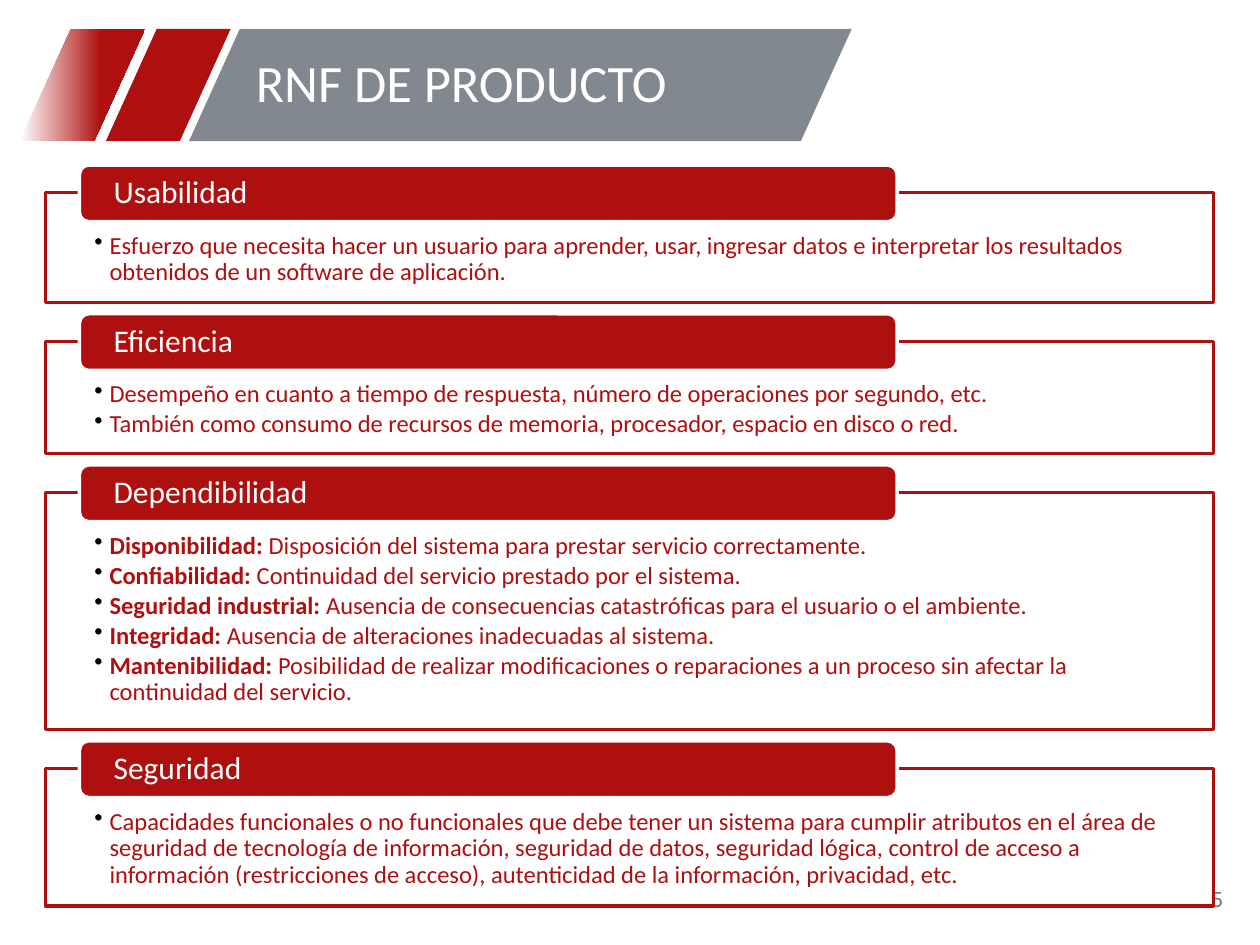
from dataclasses import dataclass

from lxml import etree
from pptx import Presentation
from pptx.dml.color import RGBColor
from pptx.enum.shapes import MSO_SHAPE
from pptx.enum.text import MSO_ANCHOR, PP_ALIGN
from pptx.oxml.ns import qn
from pptx.util import Inches, Pt

LEFT, RIGHT = PP_ALIGN.LEFT, PP_ALIGN.RIGHT
TOP, MIDDLE = MSO_ANCHOR.TOP, MSO_ANCHOR.MIDDLE
RECT, ROUNDED = MSO_SHAPE.RECTANGLE, MSO_SHAPE.ROUNDED_RECTANGLE
SLANTED = MSO_SHAPE.PARALLELOGRAM

COLORS = {"red": "AE0F0F", "gray": "81888F", "number": "6C7A8A",
          "white": "FFFFFF", "black": "000000"}
FONT, NUMBER_FONT = "Calibri", "Noto Sans Mono"

# Layout, in inches
SLIDE_W, SLIDE_H = 10, 7.5
BANNER_TOP, BANNER_H, SLANT = 0.23, 0.89, 0.453
PANEL_LEFT, PANEL_W, PANEL_GAP, FIRST_PANEL = 0.36, 9.27, 0.31, 1.53
TAB_LEFT, TAB_W, TAB_H, TAB_RISE = 0.63, 6.49, 0.45, 0.22
HANG = 0.12


@dataclass
class Item:
    text: str
    term: str = ""


@dataclass
class Section:
    heading: str
    height: float
    items: list[Item]


SECTIONS = [
    Section("Usabilidad", 0.87, [
        Item("Esfuerzo que necesita hacer un usuario para aprender, usar, ingresar datos "
             "e interpretar los resultados obtenidos de un software de aplicación."),
    ]),
    Section("Eficiencia", 0.89, [
        Item("Desempeño en cuanto a tiempo de respuesta, número de operaciones por segundo, etc."),
        Item("También como consumo de recursos de memoria, procesador, espacio en disco o red."),
    ]),
    Section("Dependibilidad", 1.88, [
        Item("Disposición del sistema para prestar servicio correctamente.", "Disponibilidad:"),
        Item("Continuidad del servicio prestado por el sistema.", "Confiabilidad:"),
        Item("Ausencia de consecuencias catastróficas para el usuario o el ambiente.",
             "Seguridad industrial:"),
        Item("Ausencia de alteraciones inadecuadas al sistema.", "Integridad:"),
        Item("Posibilidad de realizar modificaciones o reparaciones a un proceso sin afectar "
             "la continuidad del servicio.", "Mantenibilidad:"),
    ]),
    Section("Seguridad", 1.09, [
        Item("Capacidades funcionales o no funcionales que debe tener un sistema para cumplir "
             "atributos en el área de seguridad de tecnología de información, seguridad de "
             "datos, seguridad lógica, control de acceso a información (restricciones de "
             "acceso), autenticidad de la información, privacidad, etc."),
    ]),
]


def rgb(name: str) -> RGBColor:
    return RGBColor.from_string(COLORS[name])


def add_block(slide, kind, left: float, top: float, width: float, height: float,
              fill: str, line: str = ""):
    block = slide.shapes.add_shape(kind, Inches(left), Inches(top), Inches(width), Inches(height))
    block.shadow.inherit = False
    block.fill.solid()
    block.fill.fore_color.rgb = rgb(fill)
    if line:
        block.line.color.rgb = rgb(line)
        block.line.width = Pt(2)
    else:
        block.line.fill.background()
    return block


def set_frame(frame, anchor, side: float, top: float, bottom: float) -> None:
    frame.word_wrap = True
    frame.vertical_anchor = anchor
    frame.margin_left = frame.margin_right = Inches(side)
    frame.margin_top, frame.margin_bottom = Inches(top), Inches(bottom)


def style(paragraph, size: float, color: str, align=LEFT, font: str = FONT) -> None:
    paragraph.alignment = align
    paragraph.line_spacing = 0.9
    paragraph.font.name = font
    paragraph.font.size = Pt(size)
    paragraph.font.color.rgb = rgb(color)


def add_bullet(paragraph) -> None:
    props = paragraph._p.get_or_add_pPr()
    props.set("marL", str(Inches(HANG)))
    props.set("indent", str(-Inches(HANG)))
    bullet_color = etree.SubElement(props, qn("a:buClr"))
    etree.SubElement(bullet_color, qn("a:srgbClr"), val=COLORS["black"])
    etree.SubElement(props, qn("a:buChar"), char="•")


def add_banner(slide) -> None:
    for left, width, fill in ((0.84, 0.99, "red"), (0.16, 0.99, "red"), (1.5, 5.26, "gray")):
        stripe = add_block(slide, SLANTED, left, BANNER_TOP, width, BANNER_H, fill)
        stripe.adjustments[0] = SLANT
        if left == 0.16:  # the outer stripe fades in from white
            stripe.fill.gradient()
            stripe.fill.gradient_angle = 0
            for stop, place, color in zip(stripe.fill.gradient_stops, (0, 0.65), ("white", "red")):
                stop.position = place
                stop.color.rgb = rgb(color)


def add_title(slide, text: str) -> None:
    title = slide.shapes.title
    slide.shapes.element.append(title.element)  # in front of the banner
    title.left, title.top = Inches(1.93), Inches(BANNER_TOP)
    title.width, title.height = Inches(4.69), Inches(BANNER_H)
    title.text_frame.text = text
    set_frame(title.text_frame, MIDDLE, 0.1, 0.05, 0.05)
    style(title.text_frame.paragraphs[0], 30, "white")


def add_page_number(slide, number: str) -> None:
    box = slide.shapes.add_textbox(Inches(7.56), Inches(6.95), Inches(2.25), Inches(0.4))
    set_frame(box.text_frame, MIDDLE, 0.1, 0.05, 0.05)
    box.text_frame.text = number
    style(box.text_frame.paragraphs[0], 12, "number", RIGHT, NUMBER_FONT)


def add_section(slide, section: Section, top: float) -> None:
    # Panel with its bulleted text
    panel = add_block(slide, RECT, PANEL_LEFT, top, PANEL_W, section.height, "white", "red")
    fill_color = panel.fill._xPr.find(qn("a:solidFill"))[0]
    etree.SubElement(fill_color, qn("a:alpha"), val="90000")
    frame = panel.text_frame
    set_frame(frame, TOP, 0.39, 0.32, 0.11)
    for index, item in enumerate(section.items):
        paragraph = frame.add_paragraph() if index else frame.paragraphs[0]
        add_bullet(paragraph)
        style(paragraph, 14, "red")
        paragraph.space_after = Pt(2)
        if item.term:
            term = paragraph.add_run()
            term.text = item.term + " "
            term.font.bold = True
        paragraph.add_run().text = item.text

    # Heading tab over the panel's upper edge
    tab = add_block(slide, ROUNDED, TAB_LEFT, top - TAB_RISE, TAB_W, TAB_H, "red", "white")
    set_frame(tab.text_frame, MIDDLE, 0.25, 0, 0)
    tab.text_frame.text = section.heading
    style(tab.text_frame.paragraphs[0], 18, "white")


def main() -> None:
    deck = Presentation()
    deck.slide_width, deck.slide_height = Inches(SLIDE_W), Inches(SLIDE_H)
    slide = deck.slides.add_slide(deck.slide_layouts[5])

    add_banner(slide)
    add_page_number(slide, "5")
    add_title(slide, "RNF DE PRODUCTO")

    top = FIRST_PANEL
    for section in SECTIONS:
        add_section(slide, section, top)
        top += section.height + PANEL_GAP

    deck.save("out.pptx")


if __name__ == "__main__":
    main()
